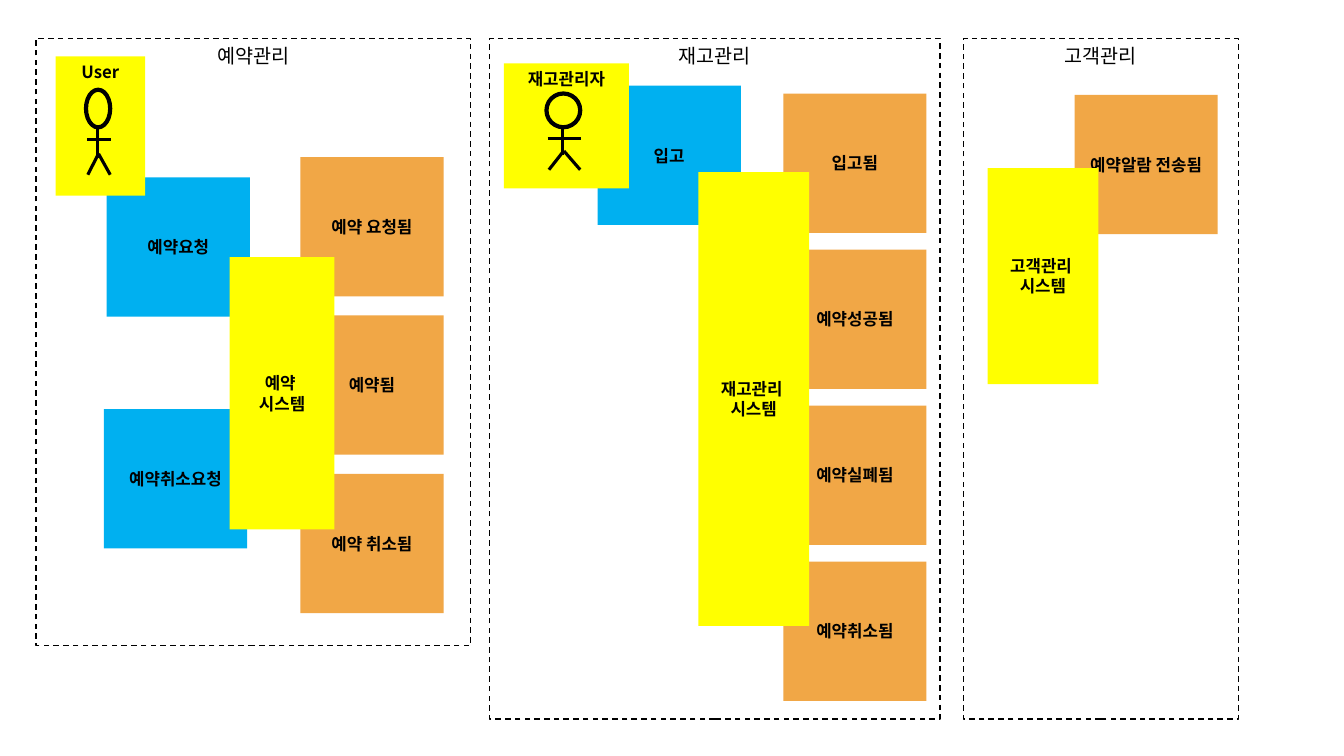
from copy import deepcopy

from lxml import etree
from pptx import Presentation
from pptx.dml.color import RGBColor
from pptx.enum.dml import MSO_LINE
from pptx.enum.shapes import MSO_CONNECTOR, MSO_SHAPE
from pptx.enum.text import MSO_ANCHOR, PP_ALIGN
from pptx.oxml.ns import qn
from pptx.util import Cm, Pt

RECT, OVAL = MSO_SHAPE.RECTANGLE, MSO_SHAPE.OVAL
LINE, DASH = MSO_CONNECTOR.STRAIGHT, MSO_LINE.DASH
TOP, MIDDLE = MSO_ANCHOR.TOP, MSO_ANCHOR.MIDDLE
CENTER = PP_ALIGN.CENTER

FONT = "Noto Sans CJK KR"
COLORS = {"event": "F1A746", "command": "00B0F0", "actor": "FFFF00",
          "system": "FFFF00", "ink": "000000"}
NOTE = (3.61, 3.51)

# left, first top, step, labels
EVENTS = [
    (7.57, 3.96, 3.99, ["예약 요청됨", "예약됨", "예약 취소됨"]),
    (19.74, 2.36, 3.93, ["입고됨", "예약성공됨", "예약실폐됨", "예약취소됨"]),
    (27.08, 2.39, 0, ["예약알람 전송됨"]),
]
COMMANDS = [
    ("예약요청", 2.69, 4.47),
    ("예약취소요청", 2.62, 10.31),
    ("입고", 15.06, 2.16),
]
ACTORS = [
    ("User", 1.4, 1.42, 2.26, 3.51),
    ("재고관리자", 12.7, 1.6, 3.15, 3.15),
]
SYSTEMS = [
    ("예약 \n시스템", 5.79, 6.48, 2.64, 6.86),
    ("재고관리 \n시스템", 17.6, 4.34, 2.79, 11.43),
    ("고객관리 \n시스템", 24.89, 4.24, 2.79, 5.44),
]
FRAMES = [
    ("예약관리", 0.91, 0.97, 10.95, 15.29),
    ("재고관리", 12.34, 0.97, 11.35, 17.15),
    ("고객관리", 24.28, 0.97, 6.93, 17.15),
]
HEAD = (0.34, 0.24, 0.27, 0.27)
LIMBS = [
    (0.35, 0.6, 0.62, 0.6),
    (0.47, 0.51, 0.47, 0.73),
    (0.47, 0.71, 0.36, 0.85),
    (0.48, 0.7, 0.61, 0.85),
]


def color(name):
    return RGBColor.from_string(COLORS[name])


def write(shape, text, size=12, bold=True, anchor=MIDDLE):
    frame = shape.text_frame
    frame.word_wrap = True
    frame.vertical_anchor = anchor
    para = frame.paragraphs[0]
    para.text = text.replace("\n", "\v")
    para.alignment = CENTER
    for run in para.runs:
        font = run.font
        font.size, font.bold, font.name = Pt(size), bold, FONT
        font.color.rgb = color("ink")
        props = run._r.get_or_add_rPr()
        etree.SubElement(props, qn("a:ea"), typeface=FONT)
    for gap in para._p.findall(qn("a:br")):
        gap.insert(0, deepcopy(props))


def draw(shapes, kind, box, fill=None, width=None):
    shape = shapes.add_shape(kind, *map(Cm, box))
    shape.shadow.inherit = False
    if fill:
        shape.fill.solid()
        shape.fill.fore_color.rgb = color(fill)
    else:
        shape.fill.background()
    if width:
        shape.line.width = Pt(width)
        shape.line.color.rgb = color("ink")
    else:
        shape.line.fill.background()
    return shape


def note(shapes, text, box, role, anchor=MIDDLE):
    write(draw(shapes, RECT, box, role), text, anchor=anchor)


def actor(shapes, text, left, top, wide, high):
    group = shapes.add_group_shape().shapes
    note(group, text, (left, top, wide, high), "actor", TOP)
    x, y, w, h = HEAD
    head = (left + x * wide, top + y * high, w * wide, h * high)
    draw(group, OVAL, head, width=3)
    for x1, y1, x2, y2 in LIMBS:
        ends = (left + x1 * wide, top + y1 * high,
                left + x2 * wide, top + y2 * high)
        limb = group.add_connector(LINE, *map(Cm, ends))
        limb.line.width = Pt(2.25)
        limb.line.color.rgb = color("ink")
        etree.SubElement(limb._element.spPr, qn("a:effectLst"))


def main():
    """Build the event storming board."""
    deck = Presentation()
    deck.slide_width, deck.slide_height = Cm(33.87), Cm(19.05)
    shapes = deck.slides.add_slide(deck.slide_layouts[6]).shapes
    for left, top, step, labels in EVENTS:
        for i, text in enumerate(labels):
            note(shapes, text, (left, top + i * step, *NOTE), "event")
    for text, left, top in COMMANDS:
        note(shapes, text, (left, top, *NOTE), "command")
    for item in ACTORS:
        actor(shapes, *item)
    for text, *box in SYSTEMS:
        note(shapes, text, box, "system")
    for text, *box in FRAMES:
        frame = draw(shapes, RECT, box, width=1)
        frame.line.dash_style = DASH
        write(frame, text, size=14, bold=False, anchor=TOP)
    deck.save("out.pptx")


if __name__ == "__main__":
    main()
